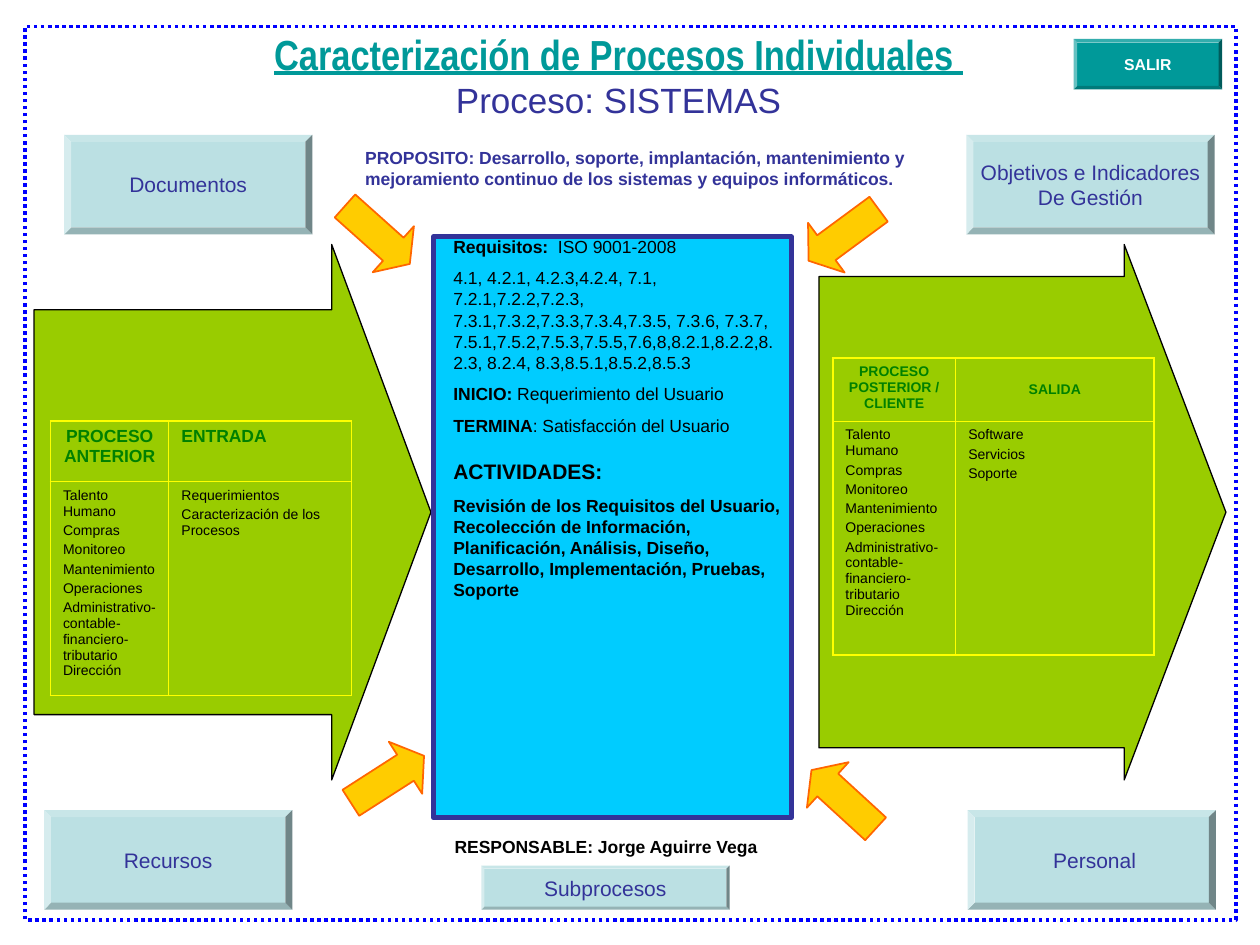
from lxml import etree
from pptx import Presentation
from pptx.dml.color import RGBColor
from pptx.enum.dml import MSO_LINE
from pptx.enum.shapes import MSO_SHAPE
from pptx.enum.text import MSO_ANCHOR, MSO_AUTO_SIZE, PP_ALIGN
from pptx.oxml.ns import qn
from pptx.util import Inches, Pt

ARROW, BEVEL, RECTANGLE = MSO_SHAPE.RIGHT_ARROW, MSO_SHAPE.BEVEL, MSO_SHAPE.RECTANGLE
TOP, MIDDLE, BOTTOM = MSO_ANCHOR.TOP, MSO_ANCHOR.MIDDLE, MSO_ANCHOR.BOTTOM
LEFT, CENTER = PP_ALIGN.LEFT, PP_ALIGN.CENTER
DOTTED = MSO_LINE.ROUND_DOT
NO_FIT = MSO_AUTO_SIZE.NONE

COLUMNS, ROWS = 100, 75
CELL = Inches(0.1)
NAVY, TEAL, LIME, YELLOW = "333399", "009999", "99CC00", "FFFF00"
GREEN, BLACK, PALE = "008000", "000000", "BBE0E3"
THICK, THIN = 1.08, 0.45
AREAS = ["Talento Humano", "Compras", "Monitoreo", "Mantenimiento", "Operaciones",
         "Administrativo-contable-financiero-tributario Dirección"]


def color(value):
    return RGBColor.from_string(value)


def grid(*lengths):
    return [round(length * CELL) for length in lengths]


def inside(box, left, top, width, height):
    return box[0] + left, box[1] + top, width, height


def add_span(para, text, size, ink, bold=False, font="Arial", underline=False):
    span = para.add_run()
    span.text = text
    span.font.size = Pt(size)
    span.font.name = font
    span.font.bold = bold
    span.font.underline = underline
    span.font.color.rgb = color(ink)


def fill_text(frame, paras, align=LEFT, before=0):
    for index, spans in enumerate(paras):
        para = frame.add_paragraph() if index else frame.paragraphs[0]
        para.alignment = align
        para.space_before = Pt(before)
        for span in spans:
            add_span(para, *span)


def add_text(page, box, paras, before):
    frame = page.shapes.add_textbox(*grid(*box)).text_frame
    frame.word_wrap = True
    fill_text(frame, paras, before=before)
    return frame


def add_figure(page, kind, box, fill=None, line=None, weight=1, adjust=()):
    figure = page.shapes.add_shape(kind, *grid(*box))
    figure.shadow.inherit = False
    for index, value in enumerate(adjust):
        figure.adjustments[index] = value
    if fill:
        figure.fill.solid()
        figure.fill.fore_color.rgb = color(fill)
    else:
        figure.fill.background()
    if line:
        figure.line.color.rgb = color(line)
        figure.line.width = Pt(weight)
    else:
        figure.line.fill.background()
    return figure


def add_border(cell, weights):
    props = cell._tc.get_or_add_tcPr()
    for index, (side, weight) in enumerate(zip("LRTB", weights)):
        line = etree.Element(qn(f"a:ln{side}"), w=str(Pt(weight)))
        solid = etree.SubElement(line, qn("a:solidFill"))
        etree.SubElement(solid, qn("a:srgbClr"), val=YELLOW)
        props.insert(index, line)


def add_exchange(page, box, widths, heights, heads, lists, fill=None, middle=THIN, bottom=THICK):
    frame = page.shapes.add_table(2, 2, *grid(*box))
    table = frame.table
    table.first_row = table.horz_banding = False
    for column, width in zip(table.columns, grid(*widths)):
        column.width = width
    for row, height in zip(table.rows, grid(*heights)):
        row.height = height
    for col in range(2):
        text, size, align, anchor = heads[col]
        head, body = table.cell(0, col), table.cell(1, col)
        fill_text(head.text_frame, [[(text, size, GREEN, True)]], align, size / 4)
        head.vertical_anchor = anchor
        fill_text(body.text_frame, [[(item, 8, BLACK)] for item in lists[col]], before=2)
        sides = (THIN, THICK) if col else (THICK, THIN)
        add_border_pair = ((head, (THICK, middle)), (body, (middle, bottom)))
        for cell, ends in add_border_pair:
            if fill:
                cell.fill.solid()
                cell.fill.fore_color.rgb = color(fill)
            else:
                cell.fill.background()
            add_border(cell, sides + ends)


def add_title(page, box):
    title = page.shapes.title
    title.left, title.top, title.width, title.height = grid(*box)
    frame = title.text_frame
    frame.auto_size = NO_FIT
    frame.word_wrap = True
    frame.vertical_anchor = BOTTOM
    para = frame.paragraphs[0]
    para.alignment = CENTER
    add_span(para, "Caracterización de Procesos Individuales ", 24, TEAL, True, "Arial Narrow", True)
    para.add_line_break()
    add_span(para, "Proceso: SISTEMAS", 20, NAVY)


def add_input(page, box):
    add_figure(page, ARROW, box, LIME, BLACK, 0.75, (0.756, 0.25))
    add_exchange(page, inside(box, 1.3, 14, 23.9, 21.8), (9.4, 14.5), (4.8, 17),
                 [("PROCESO ANTERIOR", 10, CENTER, TOP), ("ENTRADA", 10, LEFT, TOP)],
                 [AREAS, ["Requerimientos", "Caracterización de los Procesos"]], LIME)


def add_output(page, box):
    add_figure(page, ARROW, box, LIME, BLACK, 0.75, (0.88, 0.25))
    add_exchange(page, inside(box, 1.1, 9, 25.5, 23.6), (9.75, 15.75), (5, 18.6),
                 [("PROCESO POSTERIOR / CLIENTE", 8, CENTER, TOP), ("SALIDA", 8, CENTER, MIDDLE)],
                 [AREAS, ["Software", "Servicios", "Soporte"]])


def add_process(page, box):
    add_figure(page, RECTANGLE, box, "00CCFF", NAVY, 3)
    requirements = ("4.1, 4.2.1, 4.2.3,4.2.4, 7.1, 7.2.1,7.2.2,7.2.3, "
                    "7.3.1,7.3.2,7.3.3,7.3.4,7.3.5, 7.3.6, 7.3.7, "
                    "7.5.1,7.5.2,7.5.3,7.5.5,7.6,8,8.2.1,8.2.2,8.2.3, 8.2.4, 8.3,8.5.1,8.5.2,8.5.3")
    activities = ("Revisión de los Requisitos del Usuario, Recolección de Información, "
                  "Planificación, Análisis, Diseño, Desarrollo, Implementación, Pruebas, Soporte")
    add_text(page, inside(box, 0.6, -0.6, 27.6, 19.5), [
        [("Requisitos: ", 10, BLACK, True), (" ISO 9001-2008", 10, BLACK)],
        [(requirements, 10, BLACK)],
        [("INICIO: ", 10, BLACK, True), ("Requerimiento del Usuario", 10, BLACK)],
        [("TERMINA", 10, BLACK, True), (": Satisfacción del Usuario", 10, BLACK)],
    ], 6.2)
    frame = add_text(page, inside(box, 0.6, 17.1, 28.4, 12.2),
                     [[("ACTIVIDADES:", 12, BLACK, True)], [(activities, 10, BLACK, True)]], 6.2)
    frame.paragraphs[0].space_before = Pt(7.5)
    owner = add_text(page, inside(box, 0.7, 47.4, 27.6, 2.4),
                     [[("RESPONSABLE: Jorge Aguirre Vega", 10, BLACK, True)]], 5)
    owner.paragraphs[0].line_spacing = 0.8


def add_pointer(page, box, angle):
    pointer = add_figure(page, ARROW, box, "FFCC00", "FF6600", 1, (0.5, 0.357))
    pointer.rotation = angle


def add_button(page, box, lines, fill=PALE, size=12, ink=NAVY, bold=False):
    button = add_figure(page, BEVEL, box, fill, adjust=(0.07,))
    frame = button.text_frame
    frame.word_wrap = False
    frame.vertical_anchor = MIDDLE
    fill_text(frame, [[(line, size, ink, bold)] for line in lines], CENTER)


def build():
    deck = Presentation()
    deck.slide_width, deck.slide_height = grid(COLUMNS, ROWS)
    page = deck.slides.add_slide(deck.slide_layouts[5])
    add_output(page, (65, 19.4, 32.3, 42.5))
    add_input(page, (2.7, 19.4, 31.5, 42.5))
    add_title(page, (13, 3.6, 72.2, 6.5))
    add_process(page, (34.4, 18.8, 28.4, 46.1))
    border = add_figure(page, RECTANGLE, (2, 2.1, 96.1, 70.9), line="0000FF", weight=2)
    border.line.dash_style = DOTTED
    purpose = ("PROPOSITO: Desarrollo, soporte, implantación, mantenimiento y "
               "mejoramiento continuo de los sistemas y equipos informáticos.")
    add_text(page, (28, 11.2, 47.2, 4.4), [[(purpose, 10, NAVY, True)]], 6.2)
    for left, top, angle in ((27.3, 59.4, 327.3), (26.5, 16.2, 41.8),
                             (63.5, 61, 222.5), (63.5, 16.2, 143.6)):
        add_pointer(page, (left, top, 6.9, 4.9), angle)
    for left, top, height, lines in (
            (3.5, 64.3, 7.9, ["Recursos"]),
            (76.8, 64.3, 7.9, [" Personal"]),
            (5.1, 10.7, 7.9, ["Documentos"]),
            (76.7, 10.7, 7.9, ["Objetivos e Indicadores", "De Gestión"]),
            (38.2, 68.7, 3.5, ["Subprocesos"])):
        add_button(page, (left, top, 19.7, height), lines)
    add_button(page, (85.2, 3.1, 11.8, 4), ["SALIR"], TEAL, 9, "FFFFFF", True)
    deck.save("out.pptx")


if __name__ == "__main__":
    build()
